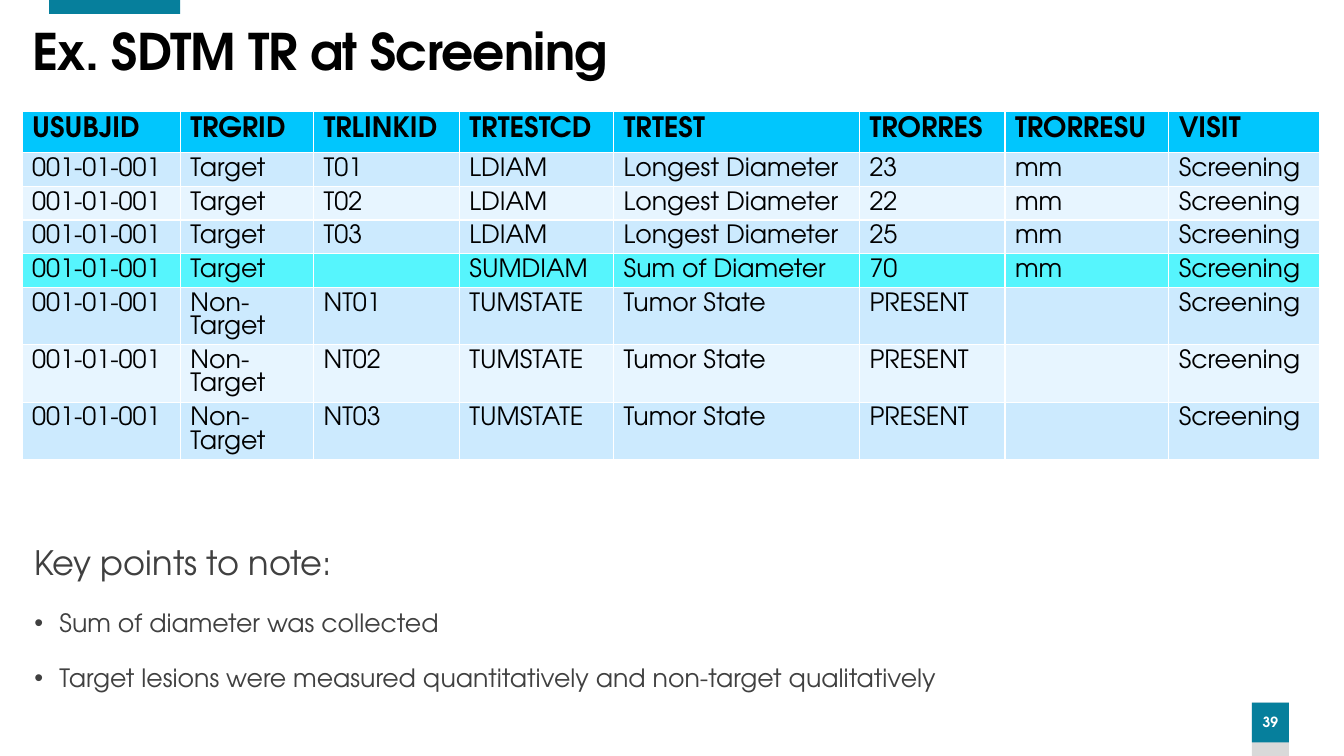
from lxml import etree
from pptx import Presentation
from pptx.dml.color import RGBColor
from pptx.enum import shapes, text
from pptx.oxml.ns import qn
from pptx.util import Pt

FONT = "TeX Gyre Adventor"
BLACK = RGBColor(0x00, 0x00, 0x00)
WHITE = RGBColor(0xFF, 0xFF, 0xFF)
DARK_GREY = RGBColor(0x40, 0x40, 0x40)
LIGHT_GREY = RGBColor(0xD9, 0xD9, 0xD9)
TEAL = RGBColor(0x06, 0x7F, 0x9C)
HEADER_BLUE = RGBColor(0x01, 0xC6, 0xFD)
BAND_DARK = RGBColor(0xCC, 0xEA, 0xFE)
BAND_LIGHT = RGBColor(0xE7, 0xF5, 0xFF)
SUM_CYAN = RGBColor(0x56, 0xF5, 0xFD)


def set_font(paragraph, size, color, bold=False):
    font = paragraph.font
    font.name, font.size, font.bold = FONT, Pt(size), bold
    font.color.rgb = color


def add_block(left, top, width, height, color):
    block = slide.shapes.add_shape(
        shapes.MSO_SHAPE.RECTANGLE, Pt(left), Pt(top), Pt(width), Pt(height))
    block.shadow.inherit = False
    block.fill.solid()
    block.fill.fore_color.rgb = color
    block.line.fill.background()
    return block


prs = Presentation()
prs.slide_width, prs.slide_height = Pt(960), Pt(540)
slide = prs.slides.add_slide(prs.slide_layouts[1])

# Page furniture
add_block(894.25, 501.85, 26.4, 38.15, LIGHT_GREY)
page_number = add_block(894.25, 501.85, 26.4, 28.5, TEAL).text_frame
page_number.margin_left = page_number.margin_right = 0
page_number.vertical_anchor = text.MSO_ANCHOR.MIDDLE
number = page_number.paragraphs[0]
number.text = "39"
number.alignment = text.PP_ALIGN.CENTER
number.line_spacing = 0.9
set_font(number, 10, WHITE, True)
add_block(35.2, 0, 93.5, 10, TEAL)

# Title
title = slide.shapes.title
title.left, title.top, title.width, title.height = Pt(16), Pt(16), Pt(741), Pt(46)
title.text_frame.vertical_anchor = text.MSO_ANCHOR.MIDDLE
title.text_frame.auto_size = text.MSO_AUTO_SIZE.NONE
heading = title.text_frame.paragraphs[0]
heading.text = "Ex. SDTM TR at Screening"
heading.alignment = text.PP_ALIGN.LEFT
heading.line_spacing = 0.9
set_font(heading, 36, BLACK, True)
heading.runs[0]._r.get_or_add_rPr().set("spc", "-60")

# Key points
key_points = slide.placeholders[1]
key_points.left, key_points.top = Pt(17.3), Pt(383.3)
key_points.width, key_points.height = Pt(666), Pt(120)
notes = key_points.text_frame
notes.auto_size = text.MSO_AUTO_SIZE.NONE
notes.text = "\n".join([
    "Key points to note:",
    "Sum of diameter was collected",
    "Target lesions were measured quantitatively and non-target qualitatively",
])
for i, point in enumerate(notes.paragraphs):
    indent = Pt(18) if i else 0
    properties = point._p.get_or_add_pPr()
    properties.set("marL", str(indent))
    properties.set("indent", str(-indent))
    if i:
        etree.SubElement(properties, qn("a:buChar")).set("char", "•")
    else:
        etree.SubElement(properties, qn("a:buNone"))
    point.space_before = Pt(6 if i else 0)
    point.space_after = Pt(12)
    set_font(point, 18 if i else 24, DARK_GREY)

# Tumor results
columns = {"USUBJID": 113, "TRGRID": 95.2, "TRLINKID": 104.2, "TRTESTCD": 110.2,
           "TRTEST": 175.6, "TRORRES": 104, "TRORRESU": 117, "VISIT": 107.5}
diameter = ("LDIAM", "Longest Diameter")
state = ("TUMSTATE", "Tumor State", "PRESENT", "")
findings = [
    ("Target", "T01", *diameter, "23", "mm"),
    ("Target", "T02", *diameter, "22", "mm"),
    ("Target", "T03", *diameter, "25", "mm"),
    ("Target", "", "SUMDIAM", "Sum of Diameter", "70", "mm"),
    ("Non-Target", "NT01", *state),
    ("Non-Target", "NT02", *state),
    ("Non-Target", "NT03", *state),
]
records = [tuple(columns)] + [("001-01-001", *f, "Screening") for f in findings]
heights = [29.2] + [41 if f[0] == "Non-Target" else 24 for f in findings]
results = slide.shapes.add_table(
    len(records), len(columns), Pt(15.8), Pt(79.9),
    Pt(sum(columns.values())), Pt(sum(heights))).table
for column, width in zip(results.columns, columns.values()):
    column.width = Pt(width)
for r, (record, height) in enumerate(zip(records, heights)):
    results.rows[r].height = Pt(height)
    if r == 0:
        fill = HEADER_BLUE
    elif "SUMDIAM" in record:
        fill = SUM_CYAN
    else:
        fill = BAND_DARK if r % 2 else BAND_LIGHT
    for c, value in enumerate(record):
        cell = results.cell(r, c)
        cell.fill.solid()
        cell.fill.fore_color.rgb = fill
        if value:
            cell.text = value
        else:
            cell.margin_top = cell.margin_bottom = 0
        set_font(cell.text_frame.paragraphs[0], 18 if r else 20, BLACK, r == 0)

prs.save("out.pptx")
